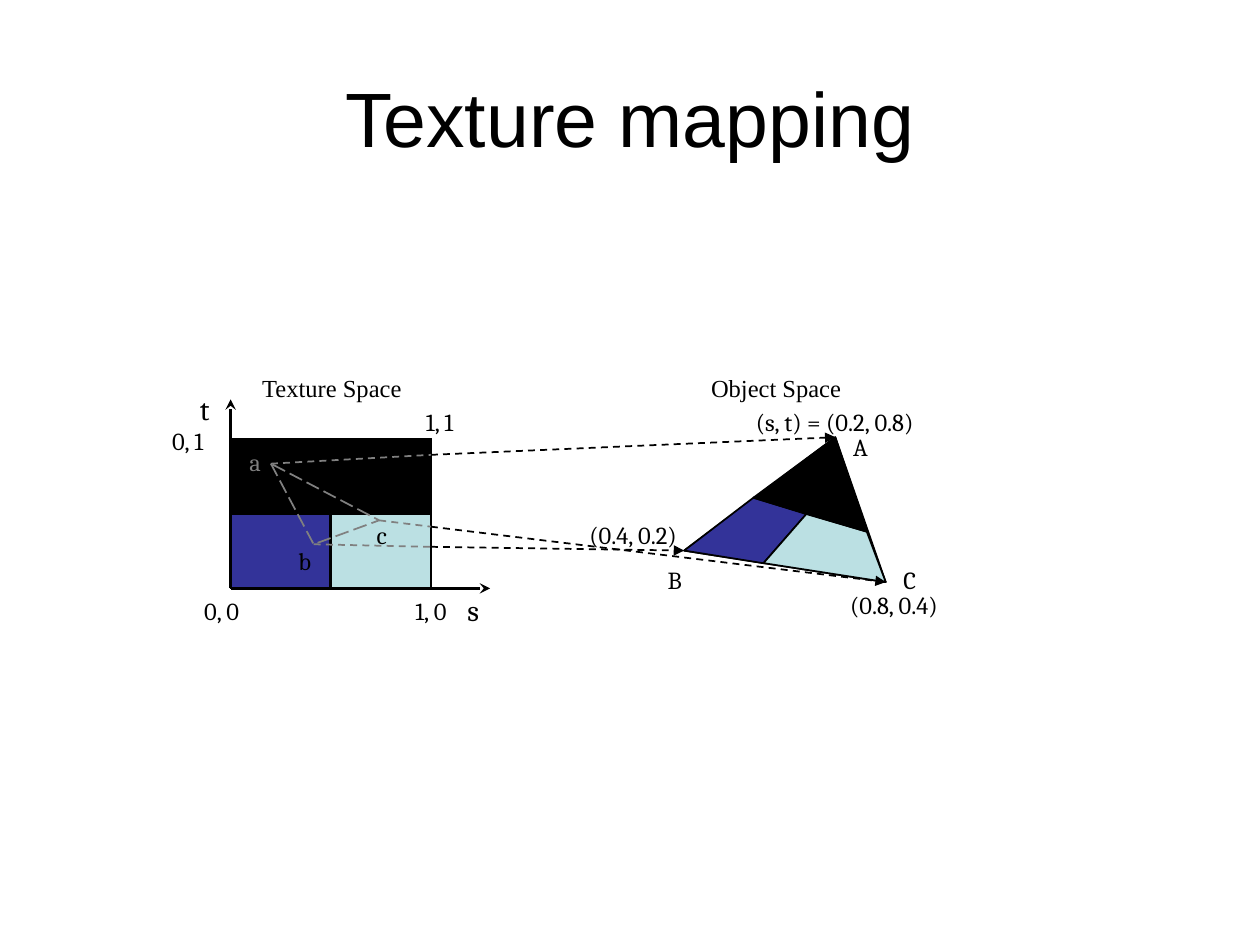
from collections import namedtuple

from pptx import Presentation
from pptx.dml.color import RGBColor
from pptx.enum.dml import MSO_LINE
from pptx.enum.shapes import MSO_CONNECTOR, MSO_SHAPE
from pptx.enum.text import MSO_ANCHOR, MSO_AUTO_SIZE, PP_ALIGN
from pptx.oxml.ns import qn
from pptx.util import Inches, Pt
from lxml import etree

Box = namedtuple("Box", "left top width height")

BLACK, GREY, BLUE, PALE = "000000", "808080", "333399", "BBE0E3"

# Corners of the sampled triangle, relative to each region's box
TEXTURE_CORNERS = {"a": (0.32, 0.2), "b": (0.66, 0.84), "c": (1.18, 0.65)}
OBJECT_CORNERS = {"a": (1.2, 0), "b": (0, 0.9), "c": (1.6, 1.15)}
# Height at which each link crosses the right edge of the texture
LINK_EXITS = {"a": 0.13, "b": 0.86, "c": 0.7}


def colour(hex_string):
    return RGBColor.from_string(hex_string)


def place(box, point):
    """Turn a point relative to a box into slide lengths."""
    return Inches(box.left + point[0]), Inches(box.top + point[1])


def style_shape(shape, fill, line, dash=None):
    shape.shadow.inherit = False
    if fill:
        shape.fill.solid()
        shape.fill.fore_color.rgb = colour(fill)
    else:
        shape.fill.background()
    shape.line.color.rgb = colour(line)
    shape.line.width = Pt(1)
    if dash:
        shape.line.dash_style = dash


def add_rectangle(slide, box, at, size, fill):
    shape = slide.shapes.add_shape(
        MSO_SHAPE.RECTANGLE, *place(box, at), Inches(size[0]), Inches(size[1]))
    style_shape(shape, fill, BLACK)


def add_polygon(slide, box, points, fill=None, line=BLACK, dash=None):
    start, *others = [place(box, point) for point in points]
    builder = slide.shapes.build_freeform(*start)
    builder.add_line_segments(others, close=True)
    style_shape(builder.convert_to_shape(), fill, line, dash)


def add_line(slide, start, end, width=2, line=BLACK, dash=None, arrow=None):
    connector = slide.shapes.add_connector(MSO_CONNECTOR.STRAIGHT, *start, *end)
    connector.line.color.rgb = colour(line)
    connector.line.width = Pt(width)
    if dash:
        connector.line.dash_style = dash
    if arrow:
        outline = connector.line._get_or_add_ln()
        etree.SubElement(outline, qn("a:tailEnd"), type=arrow)
    etree.SubElement(connector._element.spPr, qn("a:effectLst"))


def add_label(slide, box, text, at, width, size=14, font="Cambria", color=BLACK):
    height = 0.36 if size > 14 else 0.31
    shape = slide.shapes.add_textbox(*place(box, at), Inches(width), Inches(height))
    frame = shape.text_frame
    frame.word_wrap = False
    frame.auto_size = MSO_AUTO_SIZE.SHAPE_TO_FIT_TEXT
    frame.margin_left = frame.margin_right = Inches(0.07)
    frame.margin_top = frame.margin_bottom = Inches(0.04)
    paragraph = frame.paragraphs[0]
    paragraph.alignment = PP_ALIGN.CENTER
    run = paragraph.add_run()
    run.text = text
    run.font.size = Pt(size)
    run.font.name = font
    run.font.color.rgb = colour(color)


def fill_title(slide, box):
    title = slide.shapes.title
    title.left, title.top = place(box, (0, 0))
    title.width, title.height = Inches(box.width), Inches(box.height)
    title.text_frame.vertical_anchor = MSO_ANCHOR.MIDDLE
    paragraph = title.text_frame.paragraphs[0]
    paragraph.alignment = PP_ALIGN.CENTER
    run = paragraph.add_run()
    run.text = "Texture mapping"
    run.font.size = Pt(44)
    run.font.name = "Arial"
    run.font.color.rgb = colour(BLACK)


def draw_texture_space(slide, box):
    middle_x, middle_y = box.width / 2, box.height / 2
    add_rectangle(slide, box, (0, middle_y), (middle_x, middle_y), BLUE)
    add_rectangle(slide, box, (middle_x, middle_y), (middle_x, middle_y), PALE)
    add_rectangle(slide, box, (0, 0), (box.width, middle_y), BLACK)
    add_rectangle(slide, box, (0, 0), (box.width, box.height), None)

    origin = place(box, (0, box.height))
    add_line(slide, origin, place(box, (0, -0.31)), arrow="stealth")
    add_line(slide, origin, place(box, (2.06, box.height)), arrow="stealth")
    add_line(slide, place(box, (0, middle_y)), place(box, (box.width, middle_y)))
    add_line(slide, place(box, (middle_x, middle_y)),
             place(box, (middle_x, box.height)))
    add_polygon(slide, box, TEXTURE_CORNERS.values(), line=GREY,
                dash=MSO_LINE.LONG_DASH)

    add_label(slide, box, "Texture Space", (0.17, -0.56), 1.27,
              font="Times New Roman")
    add_label(slide, box, "s", (1.8, 1.18), 0.25, size=17)
    add_label(slide, box, "t", (-0.32, -0.42), 0.23, size=17)
    add_label(slide, box, "a", (0.07, 0.03), 0.25, color=GREY)
    for text, at, width in [
        ("1, 1", (1.43, -0.29), 0.46),
        ("0, 1", (-0.57, -0.14), 0.46),
        ("0, 0", (-0.3, 1.21), 0.46),
        ("1, 0", (1.36, 1.21), 0.46),
        ("b", (0.46, 0.81), 0.26),
        ("c", (1.08, 0.61), 0.24),
    ]:
        add_label(slide, box, text, at, width)


def draw_object_space(slide, box):
    top, left, right = OBJECT_CORNERS.values()
    upper_left, upper_right = (0.55, 0.48), (1.45, 0.75)
    split_top, split_bottom = (0.97, 0.61), (0.63, 1)

    add_polygon(slide, box, [top, left, right])
    add_line(slide, place(box, upper_left), place(box, upper_right))
    add_line(slide, place(box, split_top), place(box, split_bottom))
    add_polygon(slide, box, [upper_left, split_top, split_bottom, left], BLUE)
    add_polygon(slide, box, [split_top, upper_right, right, split_bottom], PALE)
    add_polygon(slide, box, [upper_left, top, upper_right], BLACK)

    add_label(slide, box, "Object Space", (0.14, -0.55), 1.18,
              font="Times New Roman")
    for text, at, width in [
        ("(s, t) = (0.2, 0.8)", (0.44, -0.28), 1.51),
        ("(0.4, 0.2)", (-0.86, 0.62), 0.91),
        ("(0.8, 0.4)", (1.21, 1.17), 0.91),
        ("A", (1.26, -0.08), 0.28),
        ("B", (-0.21, 0.97), 0.27),
        ("C", (1.66, 0.97), 0.26),
    ]:
        add_label(slide, box, text, at, width)


def draw_links(slide, texture_box, object_box):
    """Join matching corners: grey over the texture, black beyond it."""
    for name, exit_height in LINK_EXITS.items():
        crossing = place(texture_box, (texture_box.width, exit_height))
        add_line(slide, place(texture_box, TEXTURE_CORNERS[name]), crossing,
                 width=1, line=GREY, dash=MSO_LINE.DASH)
        add_line(slide, crossing, place(object_box, OBJECT_CORNERS[name]),
                 width=1, dash=MSO_LINE.DASH, arrow="triangle")


def main():
    presentation = Presentation()
    presentation.slide_width, presentation.slide_height = Inches(10), Inches(7.5)
    slide = presentation.slides.add_slide(presentation.slide_layouts[5])
    texture_box = Box(1.83, 3.48, 1.59, 1.19)
    object_box = Box(5.43, 3.47, 1.6, 1.15)
    fill_title(slide, Box(0.5, 0.3, 9, 1.25))
    draw_texture_space(slide, texture_box)
    draw_object_space(slide, object_box)
    draw_links(slide, texture_box, object_box)
    presentation.save("out.pptx")


if __name__ == "__main__":
    main()
